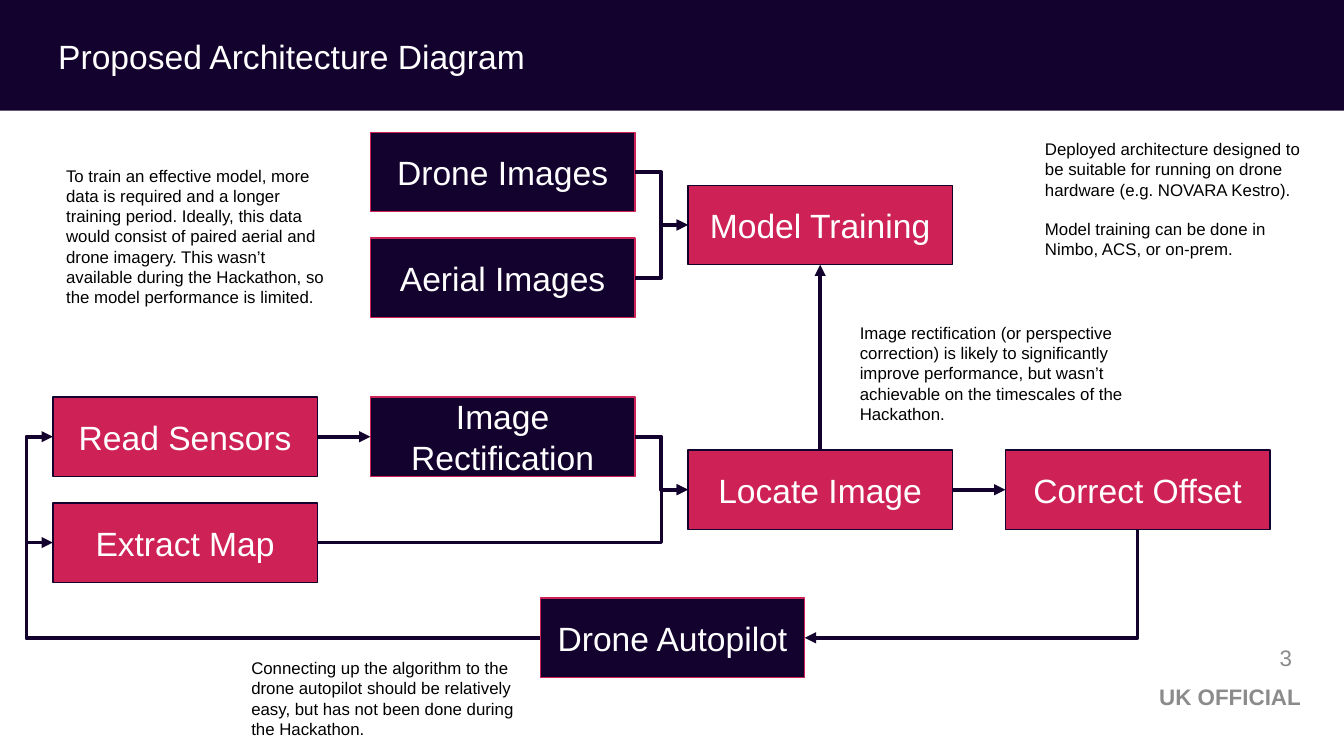
import pptx
import pptx.util
import pptx.dml.color
import pptx.enum.dml
import pptx.enum.shapes
import pptx.enum.text
import pptx.oxml
import pptx.oxml.ns

Cm, Pt = pptx.util.Cm, pptx.util.Pt
ALIGN = pptx.enum.text.PP_ALIGN
ANCHOR = pptx.enum.text.MSO_ANCHOR
KIND = pptx.enum.shapes.MSO_CONNECTOR
RECT = pptx.enum.shapes.MSO_SHAPE.RECTANGLE

COLORS = {"header": "13022D", "navy": "14022E", "red": "CE2256",
          "white": "FFFFFF", "black": "000000", "grey": "8B8B8B"}
FONT = "Arial"
TITLE = "Proposed Architecture Diagram"

# Lengths in centimetres; boxes stand on columns 6 cm apart
WIDTH, HEIGHT = 25.4, 14.28
BOX_W, BOX_H = 5, 1.5
COLUMN_LEFT, COLUMN_PITCH = 1, 6
TOP, BOTTOM, LEFT, RIGHT = 0, 2, 1, 3
JOIN_X, FEEDBACK_X = 12.5, 0.5

# name, column, top, fill, line
BOXES = [
    ("Model Training", 2, 3.5, "red", "navy"),
    ("Locate Image", 2, 8.5, "red", "navy"),
    ("Read Sensors", 0, 7.5, "red", "navy"),
    ("Extract Map", 0, 9.5, "red", "navy"),
    ("Correct Offset", 3, 8.5, "red", "navy"),
    ("Drone Images", 1, 2.5, "navy", "red"),
    ("Aerial Images", 1, 4.5, "navy", "red"),
    ("Image Rectification", 1, 7.5, "navy", "red"),
    ("Drone Autopilot", 1.535, 11.3, "navy", "red"),
]

# from, side, to, side
STRAIGHT = [
    ("Locate Image", TOP, "Model Training", BOTTOM),
    ("Read Sensors", RIGHT, "Image Rectification", LEFT),
    ("Locate Image", RIGHT, "Correct Offset", LEFT),
]
# from, side, to, side, x of the vertical part
ELBOWS = [
    ("Drone Images", RIGHT, "Model Training", LEFT, JOIN_X),
    ("Aerial Images", RIGHT, "Model Training", LEFT, JOIN_X),
    ("Image Rectification", RIGHT, "Locate Image", LEFT, JOIN_X),
    ("Extract Map", RIGHT, "Locate Image", LEFT, JOIN_X),
    ("Drone Autopilot", LEFT, "Extract Map", LEFT, FEEDBACK_X),
    ("Drone Autopilot", LEFT, "Read Sensors", LEFT, FEEDBACK_X),
]

NOTE_W = 5.5
# left, top, height, paragraphs
NOTES = [
    (16, 5.97, 2.03, ["Image rectification (or perspective correction) is likely to "
                      "significantly improve performance, but wasn’t achievable on "
                      "the timescales of the Hackathon."]),
    (1, 3, 2.74, ["To train an effective model, more data is required and a longer "
                  "training period. Ideally, this data would consist of paired aerial "
                  "and drone imagery. This wasn’t available during the Hackathon, so "
                  "the model performance is limited."]),
    (19.5, 2.5, 2.39, ["Deployed architecture designed to be suitable for running on "
                       "drone hardware (e.g. NOVARA Kestro).",
                       "Model training can be done in Nimbo, ACS, or on-prem."]),
    (4.5, 12.3, 1.68, ["Connecting up the algorithm to the drone autopilot should be "
                       "relatively easy, but has not been done during the Hackathon."]),
]

# text, bold, left, top, width, height, right inset
FOOTERS = [
    ("UK OFFICIAL", True, 3.91, 12.78, 20.78, 0.76, 0.1),
    ("3", False, 18.95, 12.14, 5.72, 0.58, 0.25),
]


def rgb(name):
    return pptx.dml.color.RGBColor.from_string(COLORS[name])


def write(shape, paragraphs, size, color, align=ALIGN.LEFT, anchor=ANCHOR.MIDDLE,
          bold=False):
    tf = shape.text_frame
    tf.word_wrap = True
    tf.auto_size = pptx.enum.text.MSO_AUTO_SIZE.NONE
    tf.vertical_anchor = anchor
    for i, text in enumerate(paragraphs):
        p = tf.add_paragraph() if i else tf.paragraphs[0]
        p.alignment = align
        p.space_before = Pt(1.15 * size if i else 0)
        r = p.add_run()
        r.text = text
        r.font.name, r.font.size, r.font.bold = FONT, Pt(size), bold
        r.font.color.rgb = rgb(color)
    return tf


def add_rect(left, top, width, height, fill, line=None):
    s = slide.shapes.add_shape(RECT, Cm(left), Cm(top), Cm(width), Cm(height))
    s.shadow.inherit = False
    s.fill.solid()
    s.fill.fore_color.rgb = rgb(fill)
    if line:
        s.line.color.rgb = rgb(line)
        s.line.width = 0
    else:
        s.line.fill.background()
    return s


def connect(kind, start, start_side, end, end_side, arrow="tailEnd"):
    c = slide.shapes.add_connector(kind, 0, 0, 0, 0)
    c.begin_connect(boxes[start], start_side)
    c.end_connect(boxes[end], end_side)
    c.line.color.rgb = rgb("navy")
    c.line.width = 0
    qn = pptx.oxml.ns.qn
    head = c.line._get_or_add_ln().makeelement(qn("a:" + arrow), {"type": "triangle"})
    c.line._get_or_add_ln().append(head)
    sp_pr = c._element.spPr
    sp_pr.append(sp_pr.makeelement(qn("a:effectLst"), {}))
    return c


prs = pptx.Presentation()
prs.slide_width, prs.slide_height = Cm(WIDTH), Cm(HEIGHT)
slide = prs.slides.add_slide(prs.slide_layouts[5])

header = add_rect(0, 0, WIDTH, 2.09, "header")
title = slide.shapes.title
title._element.addprevious(header._element)
title.left, title.top, title.width, title.height = Cm(0.1), Cm(0.15), Cm(19), Cm(1.8)
write(title, [TITLE], 18, "white").margin_left = Cm(1)

boxes = {}
for name, column, top, fill, line in BOXES:
    left = COLUMN_LEFT + column * COLUMN_PITCH
    boxes[name] = add_rect(left, top, BOX_W, BOX_H, fill, line)
    write(boxes[name], [name], 18, "white", ALIGN.CENTER)

for left, top, height, paragraphs in NOTES:
    s = slide.shapes.add_textbox(Cm(left), Cm(top), Cm(NOTE_W), Cm(height))
    write(s, paragraphs, 9, "black", anchor=ANCHOR.TOP)

for link in STRAIGHT:
    connect(KIND.STRAIGHT, *link)

for *link, bend_x in ELBOWS:
    c = connect(KIND.ELBOW, *link)
    share = (Cm(bend_x) - c.begin_x) / (c.end_x - c.begin_x)
    guides = c._element.spPr.prstGeom.get_or_add_avLst()
    guides.append(guides.makeelement(
        pptx.oxml.ns.qn("a:gd"), {"name": "adj1", "fmla": f"val {round(share * 100000)}"}))

# One bend only: drawn from the autopilot, with the arrowhead at its start
c = connect(KIND.ELBOW, "Drone Autopilot", RIGHT, "Correct Offset", BOTTOM, "headEnd")
c._element.spPr.prstGeom.set("prst", "bentConnector2")

for text, bold, left, top, width, height, inset in FOOTERS:
    s = slide.shapes.add_textbox(Cm(left), Cm(top), Cm(width), Cm(height))
    write(s, [text], 12, "grey", ALIGN.RIGHT, bold=bold).margin_right = Cm(inset)

prs.save("out.pptx")
